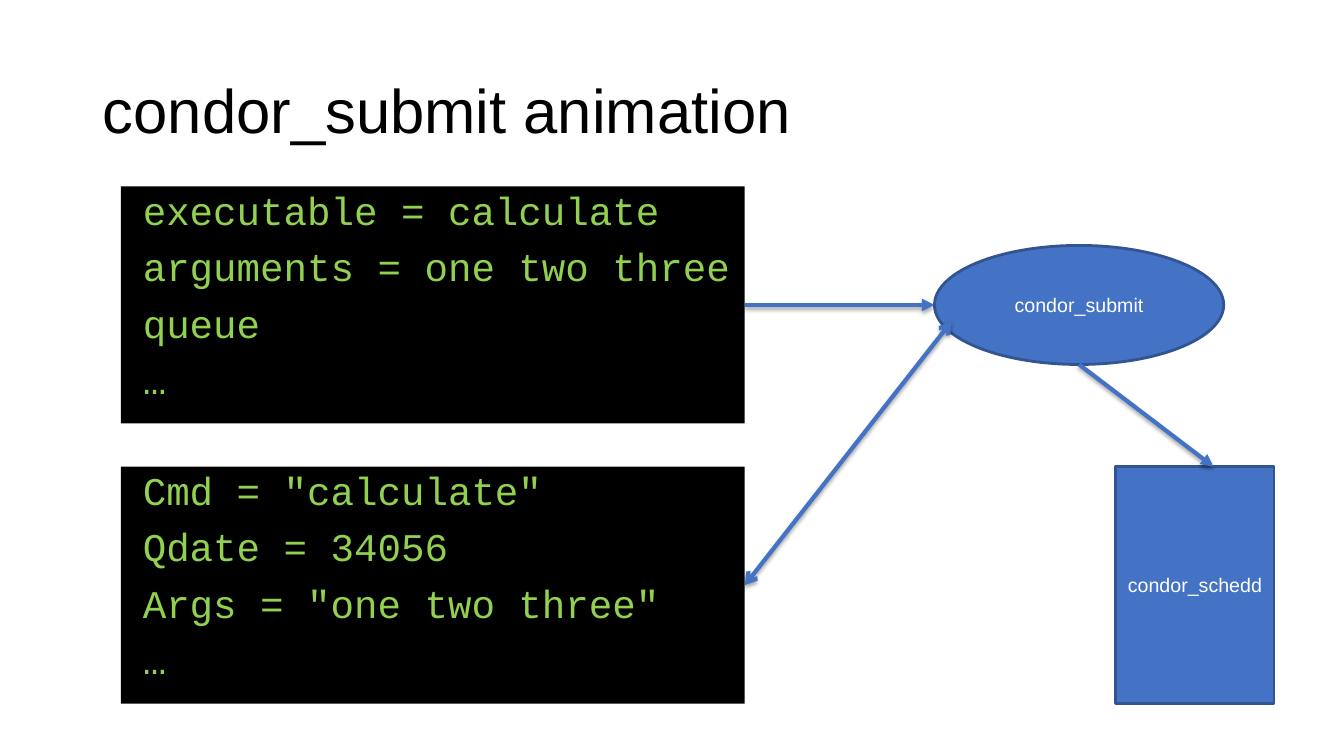
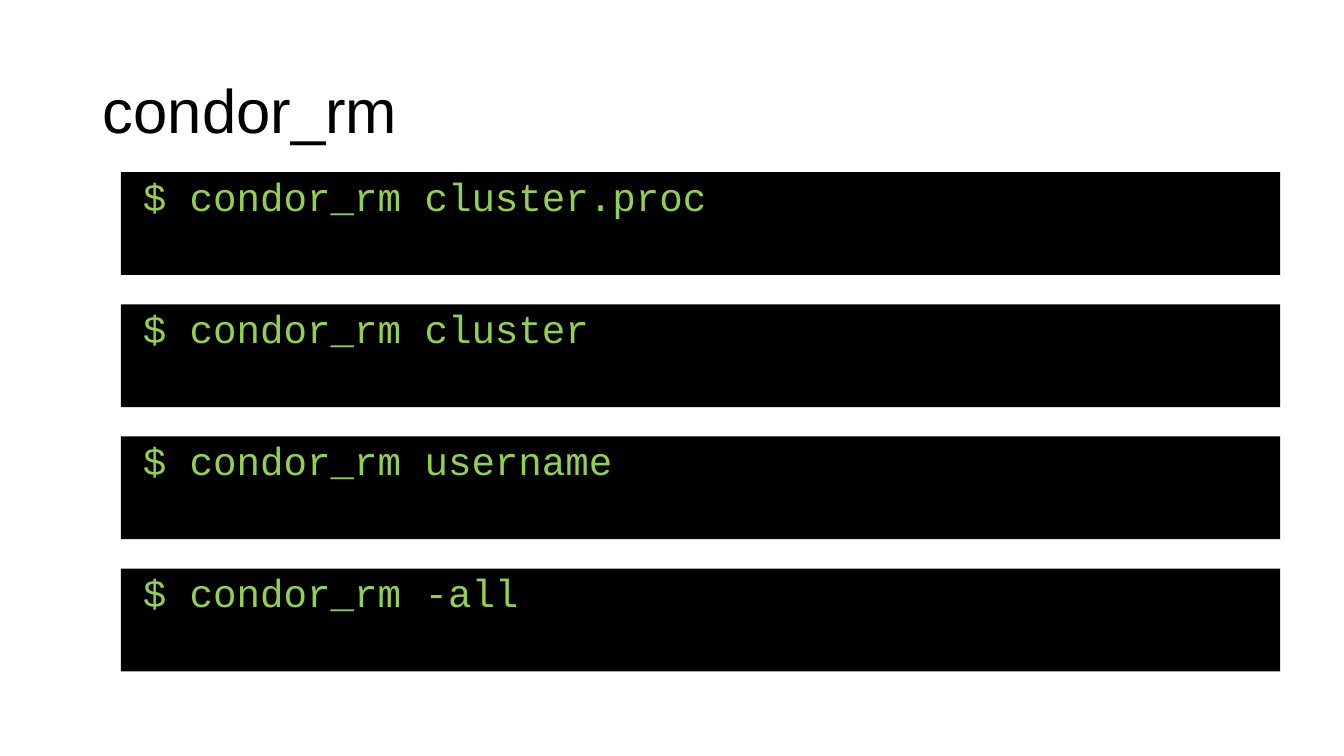
from dataclasses import dataclass

from lxml.etree import SubElement
from pptx import Presentation
from pptx.dml.color import RGBColor
from pptx.enum.shapes import MSO_CONNECTOR as Connector, MSO_SHAPE as Shape
from pptx.enum.text import MSO_ANCHOR as Anchor, PP_ALIGN as Align
from pptx.oxml.ns import qn
from pptx.util import Cm, Pt


@dataclass(frozen=True)
class Theme:
    black: str = "000000"
    white: str = "FFFFFF"
    green: str = "92D050"
    blue: str = "4472C4"
    edge: str = "325491"
    sans: str = "Arial"
    mono: str = "Courier New"
    title_size: int = 44
    code_size: int = 28
    label_size: int = 14
    edge_width: int = 2
    arrow_width: int = 3


T = Theme()
TITLE = dict(
    fill=None, edge=None, color=T.black, indent=0,
    font=dict(name=T.sans, size=Pt(T.title_size)),
    frame=dict(word_wrap=True, vertical_anchor=Anchor.MIDDLE),
    para=dict(alignment=Align.LEFT, line_spacing=0.9))
CODE = dict(
    fill=T.black, edge=None, color=T.green, indent=0.3,
    font=dict(name=T.mono, size=Pt(T.code_size)),
    frame=dict(word_wrap=True, vertical_anchor=Anchor.TOP),
    para=dict(alignment=Align.LEFT, line_spacing=0.9))
NODE = dict(
    fill=T.blue, edge=T.edge, color=T.white, indent=0,
    font=dict(name=T.sans, size=Pt(T.label_size)),
    frame=dict(word_wrap=True, vertical_anchor=Anchor.MIDDLE),
    para=dict(alignment=Align.CENTER))


def add_block(s, box, lines, style, shape=Shape.RECTANGLE):
    """Add a shape or, where the style has no fill, a text box, with one paragraph per line."""
    at = [Cm(v) for v in box]
    if style["fill"]:
        sp = s.shapes.add_shape(shape, *at)
        sp.shadow.inherit = False
        sp.fill.solid()
        sp.fill.fore_color.rgb = RGBColor.from_string(style["fill"])
        if style["edge"]:
            sp.line.color.rgb = RGBColor.from_string(style["edge"])
            sp.line.width = Pt(T.edge_width)
        else:
            sp.line.fill.background()
    else:
        sp = s.shapes.add_textbox(*at)
    tf = sp.text_frame
    for name, value in style["frame"].items():
        setattr(tf, name, value)
    for i, line in enumerate(lines):
        p = tf.paragraphs[0] if i == 0 else tf.add_paragraph()
        for name, value in style["para"].items():
            setattr(p, name, value)
        p.space_before = Pt(10 if i else 0)
        if style["indent"]:
            p._p.get_or_add_pPr().set("marL", str(Cm(style["indent"])))
        r = p.add_run()
        r.text = line
        for name, value in style["font"].items():
            setattr(r.font, name, value)
        r.font.color.rgb = RGBColor.from_string(style["color"])


def add_arrow(s, start, end, head, tail):
    """Add a shadowed line with the given arrowheads at its start and end."""
    line = s.shapes.add_connector(Connector.STRAIGHT, *[Cm(v) for v in start + end])
    line.line.color.rgb = RGBColor.from_string(T.blue)
    line.line.width = Pt(T.arrow_width)
    ln = line.line._get_or_add_ln()
    for tag, kind in (("a:headEnd", head), ("a:tailEnd", tail)):
        if kind:
            SubElement(ln, qn(tag), type=kind)
    effects = SubElement(line._element.spPr, qn("a:effectLst"))
    shadow = SubElement(effects, qn("a:outerShdw"), blurRad=str(Pt(3.1)),
                        dist=str(Pt(1.8)), dir="5400000", rotWithShape="0")
    color = SubElement(shadow, qn("a:srgbClr"), val=T.black)
    SubElement(color, qn("a:alpha"), val="35000")


prs = Presentation()
prs.slide_width, prs.slide_height = Cm(33.87), Cm(19.05)
slides = []
for title in ("condor_submit animation", "condor_rm"):
    s = prs.slides.add_slide(prs.slide_layouts[6])
    add_block(s, (2.34, 1.02, 29.21, 3.68), [title], TITLE)
    slides.append(s)
submit, remove = slides

# From submit file to job queue
left, width, height = 3.05, 15.72, 5.97
file_top, job_top = 4.7, 11.76
right = left + width
file_mid, job_mid = file_top + height / 2, job_top + height / 2
tool_left, tool_width, tool_height = 23.55, 7.29, 3
tool_top = file_mid - tool_height / 2

add_block(submit, (left, file_top, width, height),
          ["executable = calculate", "arguments = one two three", "queue", "…"], CODE)
add_block(submit, (tool_left, tool_top, tool_width, tool_height),
          ["condor_submit"], NODE, Shape.OVAL)
add_arrow(submit, (right, file_mid), (tool_left, file_mid), None, "triangle")
add_block(submit, (left, job_top, width, height),
          ['Cmd = "calculate"', "Qdate = 34056", 'Args = "one two three"', "…"], CODE)
add_arrow(submit, (right, job_mid), (23.98, 8.1), "arrow", "arrow")
add_block(submit, (28.12, job_top, 3.99, height), ["condor_schedd"], NODE)
add_arrow(submit, (tool_left + tool_width / 2, tool_top + tool_height),
          (30.58, job_top), None, "triangle")

# Ways to remove jobs
for i, target in enumerate(("cluster.proc", "cluster", "username", "-all")):
    add_block(remove, (left, 4.34 + 3.33 * i, 29.21, 2.59), [f"$ condor_rm {target}"], CODE)

prs.save("out.pptx")
